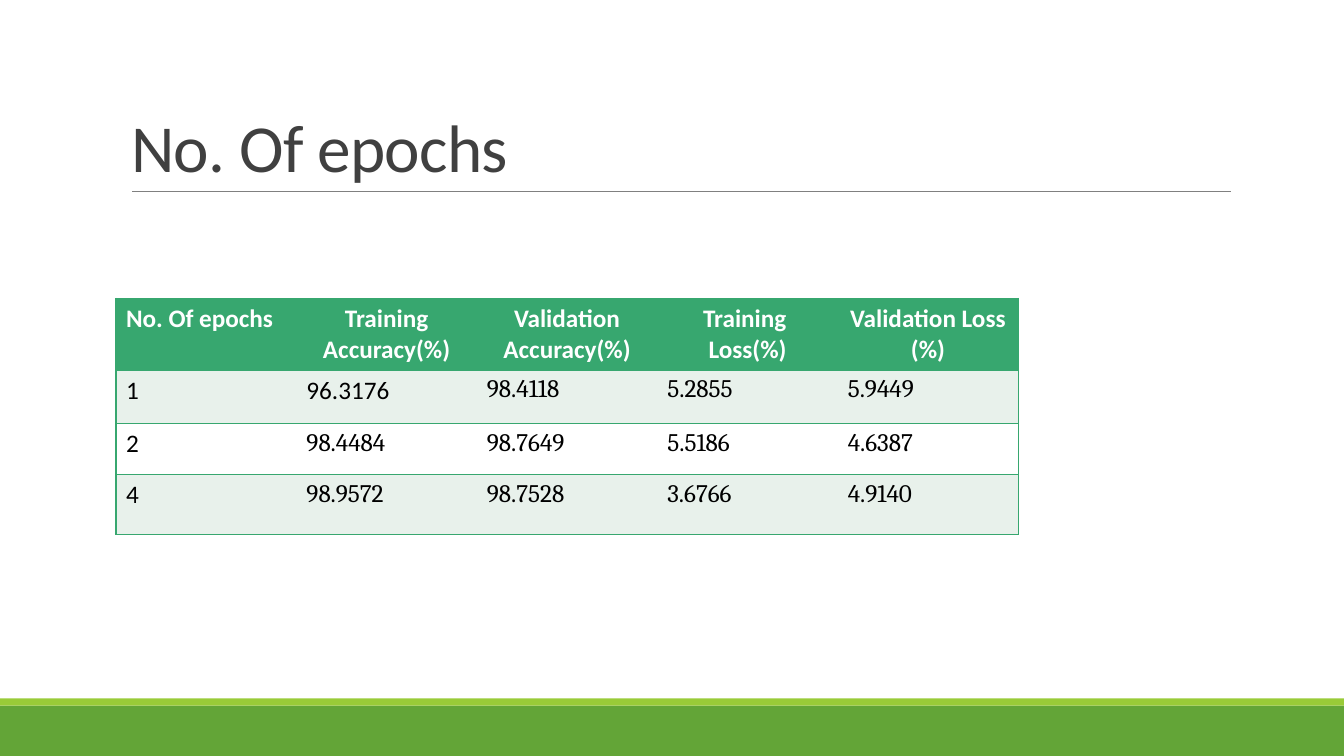
from dataclasses import dataclass

from lxml import etree
from pptx import Presentation
from pptx import util as u
from pptx.dml.color import RGBColor
from pptx.enum import shapes, text
from pptx.oxml import ns

GREEN = "37A76F"
BAND = "E8F1EB"
WHITE = "FFFFFF"
BLACK = "000000"


@dataclass
class Bar:
    top: float
    height: float
    color: str


@dataclass
class EpochRow:
    values: list[str]
    height: float
    fill: str
    color: str = BLACK
    header: bool = False
    calibri_columns: int = 1


BARS = [Bar(7, 0.5, "63A537"), Bar(6.93, 0.07, "99CB38")]
ROWS = [
    EpochRow(["No. Of epochs", "Training\nAccuracy(%)", "Validation\nAccuracy(%)",
              "Training \nLoss(%)", "Validation Loss (%)"],
             0.71, GREEN, WHITE, header=True, calibri_columns=5),
    EpochRow(["1", "96.3176", "98.4118", "5.2855", "5.9449"], 0.53, BAND, calibri_columns=2),
    EpochRow(["2", "98.4484", "98.7649", "5.5186", "4.6387"], 0.51, WHITE),
    EpochRow(["4", "98.9572", "98.7528", "3.6766", "4.9140"], 0.59, BAND),
]
COLUMN_WIDTH = 1.79


def rgb(color: str) -> RGBColor:
    return RGBColor.from_string(color)


def add_run(paragraph, words: str, size: float, font: str, color: str, bold: bool = False):
    run = paragraph.add_run()
    run.text = words
    run.font.size = u.Pt(size)
    run.font.name = font
    run.font.bold = bold
    run.font.color.rgb = rgb(color)
    return run


def add_bar(slide, bar: Bar, width: int) -> None:
    shape = slide.shapes.add_shape(shapes.MSO_SHAPE.RECTANGLE, 0, u.Inches(bar.top),
                                   width, u.Inches(bar.height))
    shape.shadow.inherit = False
    shape.fill.solid()
    shape.fill.fore_color.rgb = rgb(bar.color)
    shape.line.fill.background()


def add_title_rule(slide) -> None:
    rule = slide.shapes.add_connector(shapes.MSO_CONNECTOR.STRAIGHT, u.Inches(1.31),
                                      u.Inches(1.9), u.Inches(12.21), u.Inches(1.9))
    rule.line.color.rgb = rgb("808080")
    rule.line.width = u.Pt(0.5)
    etree.SubElement(rule._element.spPr, ns.qn("a:effectLst"))


def format_title(slide) -> None:
    title = slide.shapes.title
    title.left, title.top = u.Inches(1.2), u.Inches(0.31)
    title.width, title.height = u.Inches(11), u.Inches(1.59)
    frame = title.text_frame
    frame.word_wrap = True
    frame.auto_size = text.MSO_AUTO_SIZE.NONE
    frame.vertical_anchor = text.MSO_ANCHOR.BOTTOM
    paragraph = frame.paragraphs[0]
    paragraph.alignment = text.PP_ALIGN.LEFT
    paragraph.line_spacing = 0.85
    run = add_run(paragraph, "No. Of epochs", 48, "Calibri", "404040")
    run._r.get_or_add_rPr().set("spc", "-50")


def set_borders(cell, visible: str) -> None:
    properties = cell._tc.get_or_add_tcPr()
    for side in "LRTB":
        line = etree.SubElement(properties, ns.qn(f"a:ln{side}"), w=str(u.Pt(1)))
        if side in visible:
            fill = etree.SubElement(line, ns.qn("a:solidFill"))
            etree.SubElement(fill, ns.qn("a:srgbClr"), val=GREEN)
        else:
            etree.SubElement(line, ns.qn("a:noFill"))


def fill_cell(cell, row: EpochRow, column: int) -> None:
    last = len(row.values) - 1
    # Borders precede the fill in the cell properties
    set_borders(cell, "TB" + ("L" if column == 0 else "") + ("R" if column == last else ""))
    cell.fill.solid()
    cell.fill.fore_color.rgb = rgb(row.fill)
    font = "Calibri" if column < row.calibri_columns else "Cambria"
    frame = cell.text_frame
    for index, words in enumerate(row.values[column].split("\n")):
        paragraph = frame.add_paragraph() if index else frame.paragraphs[0]
        centred = row.header and column > 0
        paragraph.alignment = text.PP_ALIGN.CENTER if centred else text.PP_ALIGN.LEFT
        add_run(paragraph, words, 18, font, row.color, row.header)


def add_epoch_table(slide) -> None:
    columns = len(ROWS[0].values)
    table = slide.shapes.add_table(len(ROWS), columns, u.Inches(1.15), u.Inches(2.96),
                                   u.Inches(COLUMN_WIDTH * columns),
                                   u.Inches(sum(row.height for row in ROWS))).table
    table.horz_banding = False
    for column in table.columns:
        column.width = u.Inches(COLUMN_WIDTH)
    for row_index, row in enumerate(ROWS):
        table.rows[row_index].height = u.Inches(row.height)
        for column_index in range(columns):
            fill_cell(table.cell(row_index, column_index), row, column_index)


def main() -> None:
    presentation = Presentation()
    presentation.slide_width = u.Inches(13.33)
    presentation.slide_height = u.Inches(7.5)
    slide = presentation.slides.add_slide(presentation.slide_layouts[5])

    # Footer bars
    for bar in BARS:
        add_bar(slide, bar, presentation.slide_width)

    # Title and its rule
    add_title_rule(slide)
    format_title(slide)

    # Results per number of epochs
    add_epoch_table(slide)
    presentation.save("out.pptx")


if __name__ == "__main__":
    main()
